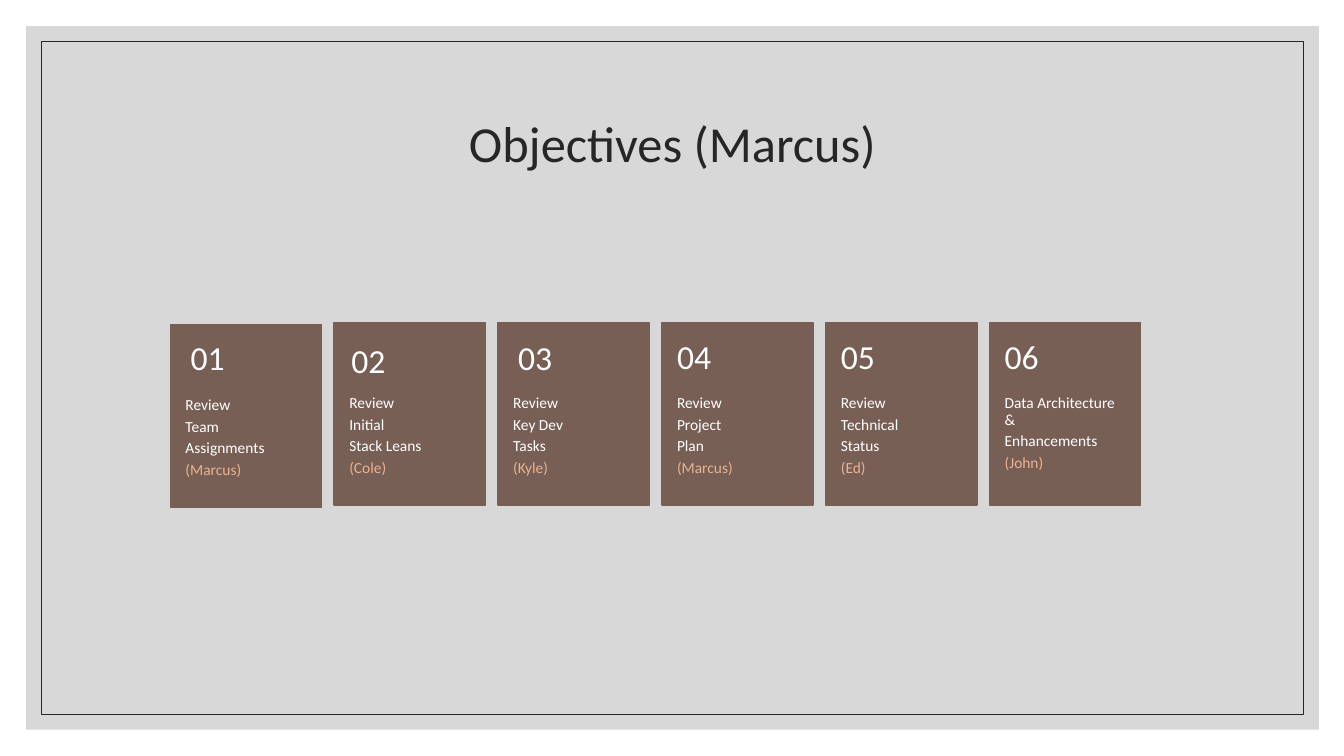
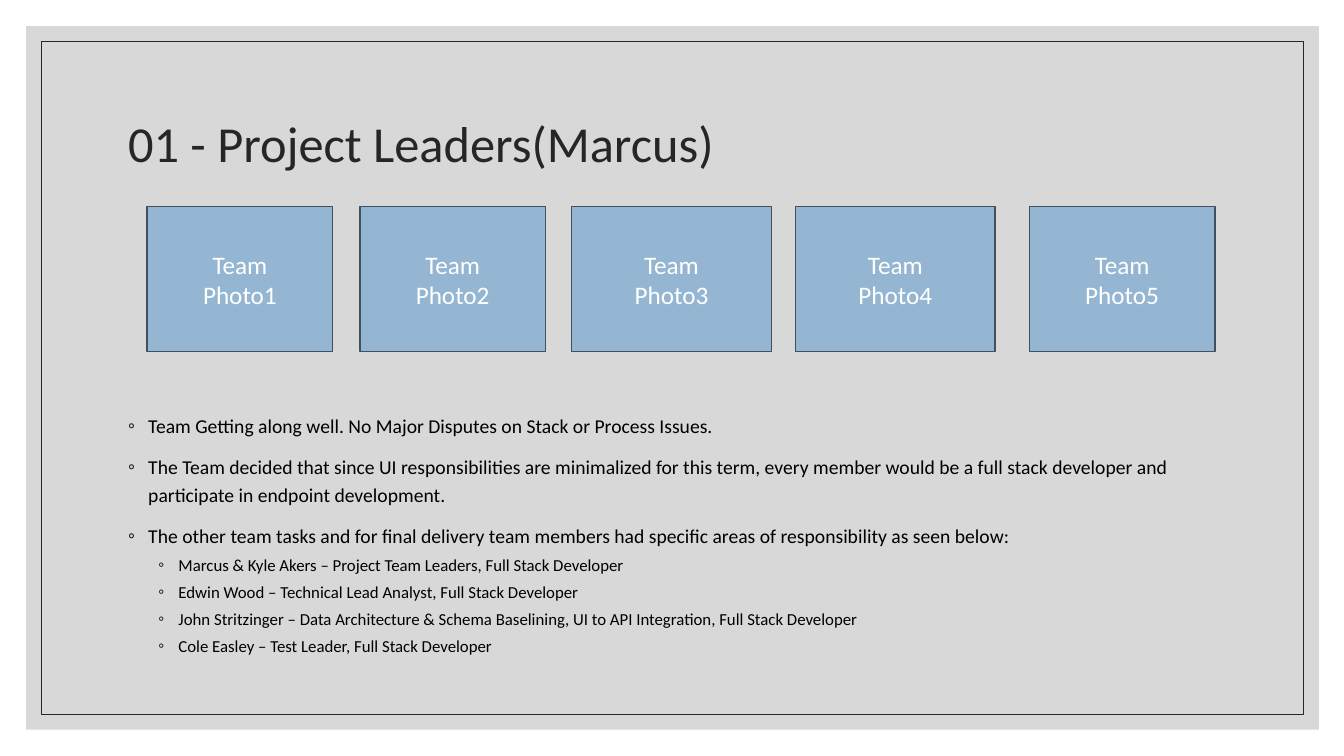
from lxml.etree import SubElement
from pptx import Presentation
from pptx.dml.color import RGBColor
from pptx.enum.shapes import MSO_SHAPE
from pptx.enum.text import MSO_ANCHOR, MSO_AUTO_SIZE, PP_ALIGN
from pptx.oxml.ns import qn
from pptx.util import Inches, Pt

INK, BLACK, WHITE = "262626", "000000", "FFFFFF"
BROWN, PEACH = "775F55", "EBB391"
SKY, SLATE, GRAY = "94B6D2", "41505C", "BFBFBF"


def rgb(hex_string):
    return RGBColor.from_string(hex_string)


def apply(target, values):
    for name, value in values.items():
        setattr(target, name, value)


class Deck:
    font = "Calibri"
    title_only, title_and_content = 5, 1

    def __init__(self):
        self.presentation = Presentation()
        apply(self.presentation, {"slide_width": Inches(13.33), "slide_height": Inches(7.5)})
        self.slide = None

    def start(self, layout, title, align):
        """Open a slide and fill its title placeholder."""
        self.slide = self.presentation.slides.add_slide(
            self.presentation.slide_layouts[layout])
        heading = self.slide.shapes.title
        self.place(heading, 1.17, 0.7, 11, 1.5)
        self.setup(heading, MSO_ANCHOR.MIDDLE)
        self.add_lines(heading, [(title, INK)], 36, alignment=align, line_spacing=0.9)

    def place(self, shape, left, top, width, height):
        apply(shape, {"left": Inches(left), "top": Inches(top),
                      "width": Inches(width), "height": Inches(height)})

    def setup(self, shape, anchor, insets=(0.1, 0.05, 0.1, 0.05)):
        left, top, right, bottom = map(Inches, insets)
        apply(shape.text_frame, {
            "word_wrap": True, "auto_size": MSO_AUTO_SIZE.NONE, "vertical_anchor": anchor,
            "margin_left": left, "margin_top": top,
            "margin_right": right, "margin_bottom": bottom})

    def add_lines(self, shape, lines, size, **paragraph_format):
        """Add (text, colour) lines, one paragraph each."""
        frame = shape.text_frame
        for index, (text, color) in enumerate(lines):
            paragraph = frame.add_paragraph() if index else frame.paragraphs[0]
            apply(paragraph, paragraph_format)
            self.add_text(paragraph, text, size, color)

    def add_text(self, paragraph, text, size, color):
        run = paragraph.add_run()
        run.text = text
        apply(run.font, {"name": self.font, "size": Pt(size)})
        run.font.color.rgb = rgb(color)

    def box(self, shapes, bounds, fill=None, line=None, weight=1):
        box = shapes.add_shape(MSO_SHAPE.RECTANGLE, *map(Inches, bounds))
        box.shadow.inherit = False
        if fill:
            box.fill.solid()
            box.fill.fore_color.rgb = rgb(fill)
        else:
            box.fill.background()
        if line:
            box.line.color.rgb = rgb(line)
            box.line.width = Pt(weight)
        else:
            box.line.fill.background()
        return box

    def frame_master(self):
        """Draw the gray panel and thin border, then move them to the master."""
        panel = self.box(self.slide.shapes, (0.26, 0.26, 12.82, 6.98), fill=GRAY)
        color = panel.element.spPr.find(qn("a:solidFill"))[0]
        SubElement(color, qn("a:alpha"), val="60000")
        border = self.box(self.slide.shapes, (0.41, 0.41, 12.52, 6.68), line=INK, weight=0.5)
        tree = self.presentation.slide_master.element.cSld.spTree
        for index, part in enumerate((panel, border)):
            part.element.nvSpPr.cNvPr.set("id", str(101 + index))
            tree.insert(2 + index, part.element)

    def label(self, shapes, bounds, lines, size, anchor, insets):
        label = shapes.add_textbox(*map(Inches, bounds))
        self.setup(label, anchor, insets)
        self.add_lines(label, lines, size, line_spacing=0.9,
                       space_after=Pt(round(size * 0.33, 1)))

    def card(self, left, top, number, number_shift, tasks, owner):
        """Group a tile with its number, task lines and owner."""
        shapes = self.slide.shapes.add_group_shape().shapes
        self.box(shapes, (left, top, 1.5, 1.81), BROWN, BROWN)
        lines = [(task, WHITE) for task in tasks] + [(f"({owner})", PEACH)]
        self.label(shapes, (left, top + 0.72, 1.5, 1.08), lines, 11,
                   MSO_ANCHOR.TOP, (0.15, 0, 0.15, 0.36))
        shift_x, shift_y = number_shift
        self.label(shapes, (left + shift_x, top + shift_y, 1.26, 0.72),
                   [(number, WHITE)], 24, MSO_ANCHOR.MIDDLE, (0.15, 0.18, 0.15, 0.18))

    def photo(self, left, width, caption):
        photo = self.box(self.slide.shapes, (left, 2.05, width, 1.44), SKY, SLATE)
        self.setup(photo, MSO_ANCHOR.MIDDLE)
        self.add_lines(photo, [("Team", WHITE), (caption, WHITE)], 18,
                       alignment=PP_ALIGN.CENTER)

    def bullets(self, bounds, items):
        """Fill the body placeholder with (level, text) items."""
        body = self.slide.placeholders[1]
        self.place(body, *bounds)
        self.setup(body, MSO_ANCHOR.TOP)
        styles = [(14, 1.2, 9, 0.2), (12, 1.0, 5, 0.5)]
        for index, (level, text) in enumerate(items):
            size, spacing, before, indent = styles[level]
            frame = body.text_frame
            paragraph = frame.add_paragraph() if index else frame.paragraphs[0]
            apply(paragraph, {"level": level, "line_spacing": spacing,
                              "space_before": Pt(before), "space_after": Pt(0)})
            self.add_text(paragraph, text, size, BLACK)
            properties = paragraph._p.get_or_add_pPr()
            properties.set("marL", str(Inches(indent)))
            properties.set("indent", str(-Inches(0.2)))
            SubElement(SubElement(properties, qn("a:buClr")), qn("a:srgbClr"), val=INK)
            SubElement(properties, qn("a:buFont"), typeface=self.font)
            SubElement(properties, qn("a:buChar"), char="◦")


def main():
    deck = Deck()

    # Objectives: six numbered cards
    deck.start(deck.title_only, "Objectives (Marcus)", PP_ALIGN.CENTER)
    deck.frame_master()
    objectives = [
        (3.22, (0.05, -0.01), ["Review", "Team", "Assignments"], "Marcus"),
        (3.2, (0.02, 0.04), ["Review", "Initial", "Stack Leans"], "Cole"),
        (3.2, (0.05, 0.01), ["Review", "Key Dev", "Tasks"], "Kyle"),
        (3.2, (0, 0), ["Review", "Project", "Plan"], "Marcus"),
        (3.2, (0, 0), ["Review", "Technical", "Status"], "Ed"),
        (3.2, (0, 0), ["Data Architecture &", "Enhancements"], "John"),
    ]
    first_left, pitch = 1.69, 6.5 / 4
    for index, (top, number_shift, tasks, owner) in enumerate(objectives):
        deck.card(first_left + index * pitch, top, f"{index + 1:02}",
                  number_shift, tasks, owner)

    # Project leaders: photo tiles above the list of roles
    deck.start(deck.title_and_content, "01 - Project Leaders(Marcus)", PP_ALIGN.LEFT)
    deck.bullets((1.17, 4.01, 11, 2.89), [
        (0, "Team Getting along well. No Major Disputes on Stack or Process Issues."),
        (0, "The Team decided that since UI responsibilities are minimalized for this term, "
            "every member would be a full stack developer and participate in endpoint "
            "development."),
        (0, "The other team tasks and for final delivery team members had specific areas "
            "of responsibility as seen below:"),
        (1, "Marcus & Kyle Akers – Project Team Leaders, Full Stack Developer"),
        (1, "Edwin Wood – Technical Lead Analyst, Full Stack Developer"),
        (1, "John Stritzinger – Data Architecture & Schema Baselining, "
            "UI to API Integration, Full Stack Developer"),
        (1, "Cole Easley – Test Leader, Full Stack Developer"),
    ])
    photos = [(1.46, 1.84), (3.57, 1.84), (5.67, 1.98), (7.89, 1.98), (10.21, 1.84)]
    for number, (left, width) in enumerate(photos, start=1):
        deck.photo(left, width, f"Photo{number}")

    deck.presentation.save("out.pptx")


if __name__ == "__main__":
    main()
